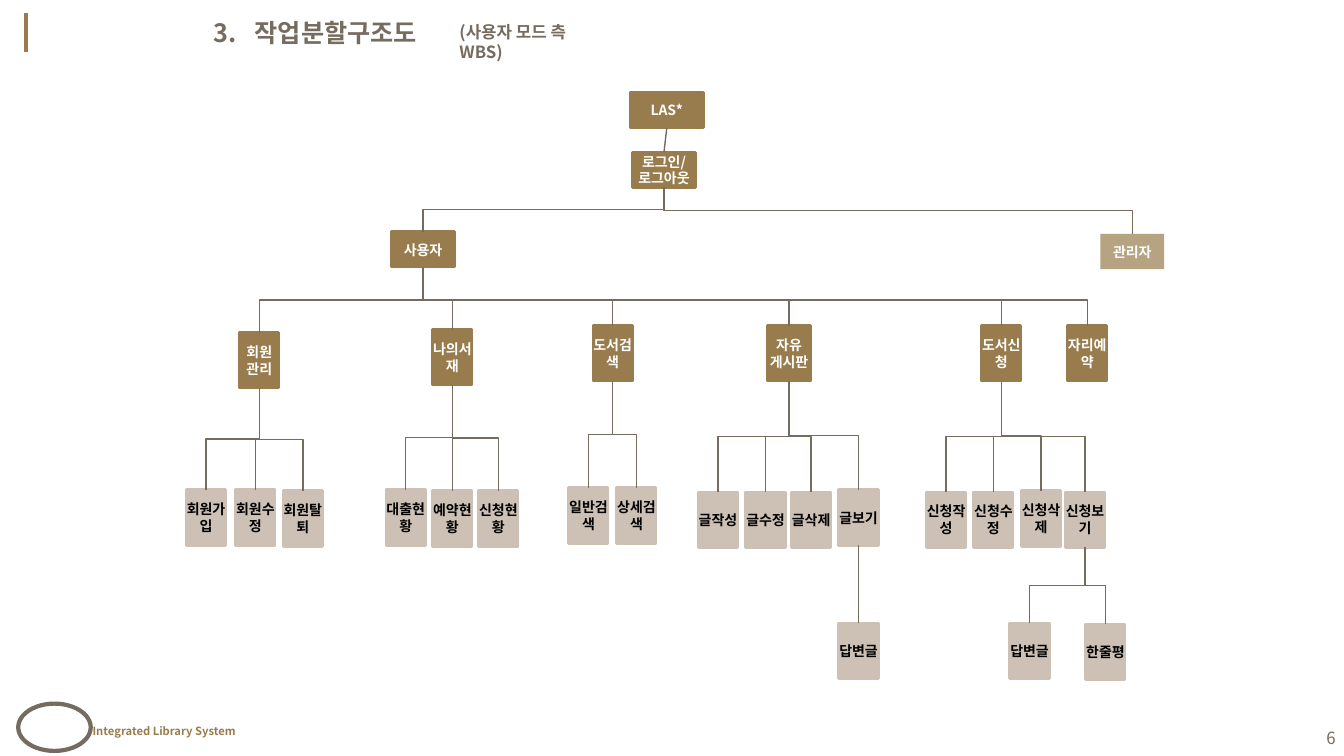
"""Builds the work breakdown structure slide for the user mode."""
from dataclasses import dataclass
from typing import Iterator, NamedTuple

from lxml.etree import SubElement
from pptx import Presentation
from pptx.dml.color import RGBColor
from pptx.enum.shapes import MSO_CONNECTOR as CONN, MSO_SHAPE as SHAPE
from pptx.enum.text import MSO_ANCHOR as ANCHOR, MSO_AUTO_SIZE as FIT, PP_ALIGN as ALIGN
from pptx.oxml.ns import qn
from pptx.shapes.connector import Connector
from pptx.slide import Slide
from pptx.text.text import TextFrame
from pptx.util import Pt

FONT = "Noto Sans CJK KR"
COLORS = {"gold": "987C4D", "taupe": "756B5F", "sand": "CDC1B6",
          "white": "FFFFFF", "black": "000000"}
BUS_Y = 214.6


class Run(NamedTuple):
    text: str
    size: float
    color: str = "taupe"
    bold: bool = True


class Style(NamedTuple):
    w: float
    h: float
    fill: str
    ink: str
    alpha: int = 100


@dataclass(frozen=True)
class Node:
    text: str
    cx: float
    y: float
    style: Style
    children: tuple["Node", ...] = ()
    link: str = "elbow"
    bend: float = 0.5

    @property
    def bottom(self) -> float:
        return self.y + self.style.h


ROOT = Style(52.6, 25.2, "gold", "white")
MODE = Style(45.4, 25.2, "gold", "white")
FADED = Style(45.4, 25.2, "gold", "white", 70)
GROUP = Style(28.1, 39.6, "gold", "white")
BOARD = Style(31, 39.6, "gold", "white")
TASK = Style(28.1, 39.6, "sand", "black")

MEMBER = Node("회원\n관리", 185.2, 237.6, GROUP, (
    Node("회원가입", 147.2, 349.9, TASK),
    Node("회원수정", 182.4, 349.9, TASK),
    Node("회원탈퇴", 216.3, 350.6, TASK)))
MY_SHELF = Node("나의서재", 323.1, 235.4, GROUP, (
    Node("대출현황", 289.8, 349.9, TASK),
    Node("예약현황", 323.1, 350.6, TASK, link="line"),
    Node("신청현황", 356, 350.6, TASK)), "stub")
SEARCH = Node("도서검색", 437.6, 232.6, GROUP, (
    Node("일반검색", 420.3, 348.5, TASK),
    Node("상세검색", 454.6, 348.5, TASK)), "stub")
FREE_BOARD = Node("자유\n게시판", 563.6, 232.6, BOARD, (
    Node("글작성", 512.8, 351.4, TASK),
    Node("글수정", 546.8, 351.4, TASK),
    Node("글삭제", 579.4, 351.4, TASK),
    Node("글보기", 613.2, 349.9, TASK, (
        Node("답변글", 613.2, 445, TASK, link="line"),))), "stub")
REQUEST = Node("도서신청", 715.2, 232.6, GROUP, (
    Node("신청작성", 675.8, 351.4, TASK),
    Node("신청수정", 709.6, 351.4, TASK),
    Node("신청삭제", 743.6, 350.6, TASK),
    Node("신청보기", 775, 351.4, TASK, (
        Node("답변글", 735.4, 445, TASK),
        Node("한줄평", 789.6, 445.7, TASK)))), "stub")
SEAT = Node("자리예약", 776.6, 232.6, GROUP, bend=0.56)
USER = Node("사용자", 302.2, 165.6, MODE,
            (MEMBER, MY_SHELF, SEARCH, FREE_BOARD, REQUEST, SEAT))
ADMIN = Node("관리자", 808.8, 167, FADED)
LOGIN = Node("로그인/\n로그아웃", 474.3, 108.7, MODE, (USER, ADMIN), "line")
SYSTEM = Node("LAS*", 476.3, 66.2, ROOT, (LOGIN,))


def rgb(name: str) -> RGBColor:
    """Return the named colour."""
    return RGBColor.from_string(COLORS[name])


def write(tf: TextFrame, paragraphs: list[list[Run]], align: ALIGN = ALIGN.LEFT,
          anchor: ANCHOR = ANCHOR.TOP, inset: bool = True) -> None:
    """Fill a text frame run by run."""
    tf.word_wrap = True
    tf.auto_size = FIT.NONE
    tf.vertical_anchor = anchor
    tf.margin_left = tf.margin_right = Pt(7.2 if inset else 0)
    tf.margin_top = tf.margin_bottom = Pt(3.6 if inset else 0)
    for i, runs in enumerate(paragraphs):
        p = tf.add_paragraph() if i else tf.paragraphs[0]
        p.alignment = align
        for run in runs:
            r = p.add_run()
            r.text = run.text
            r.font.size, r.font.bold, r.font.name = Pt(run.size), run.bold, FONT
            r.font.color.rgb = rgb(run.color)
            SubElement(r.font._element, qn("a:ea"), typeface=FONT)


def add_text(s: Slide, x: float, y: float, w: float, h: float, runs: list[Run],
             align: ALIGN = ALIGN.LEFT, anchor: ANCHOR = ANCHOR.TOP) -> None:
    """Add a one-paragraph text box."""
    box = s.shapes.add_textbox(Pt(x), Pt(y), Pt(w), Pt(h))
    write(box.text_frame, [runs], align, anchor)


def add_line(s: Slide, kind: CONN, x1: float, y1: float, x2: float, y2: float,
             color: str = "taupe", width: float = 1) -> Connector:
    """Add a connector without a shadow."""
    c = s.shapes.add_connector(kind, Pt(x1), Pt(y1), Pt(x2), Pt(y2))
    c.line.color.rgb, c.line.width = rgb(color), Pt(width)
    SubElement(c._element.spPr, qn("a:effectLst"))
    return c


def add_elbow(s: Slide, parent: Node, child: Node) -> None:
    """Add an elbow that leaves the parent downwards, turned by a quarter."""
    rise, run = child.y - parent.bottom, child.cx - parent.cx
    cx, cy = (parent.cx + child.cx) / 2, (parent.bottom + child.y) / 2
    half_w = rise / 2 if run > 0 else -rise / 2
    half_h = abs(run) / 2
    c = add_line(s, CONN.ELBOW, cx + half_w, cy - half_h, cx - half_w, cy + half_h)
    pr = c._element.spPr
    pr.find(qn("a:xfrm")).set("rot", "16200000" if run > 0 else "5400000")
    guides = pr.find(qn("a:prstGeom")).find(qn("a:avLst"))
    SubElement(guides, qn("a:gd"), name="adj1", fmla=f"val {round(child.bend * 100000)}")


def add_node(s: Slide, node: Node) -> None:
    """Add the box of a node."""
    st = node.style
    sp = s.shapes.add_shape(SHAPE.RECTANGLE, Pt(node.cx - st.w / 2), Pt(node.y),
                            Pt(st.w), Pt(st.h))
    sp.shadow.inherit = False
    sp.fill.solid()
    sp.fill.fore_color.rgb = rgb(st.fill)
    if st.alpha < 100:
        color = sp._element.spPr.find(qn("a:solidFill"))[0]
        SubElement(color, qn("a:alpha"), val=str(st.alpha * 1000))
        sp.line.fill.background()
    else:
        sp.line.color.rgb, sp.line.width = rgb(st.fill), Pt(2)
    lines = [[Run(line, 10, st.ink)] for line in node.text.split("\n")]
    write(sp.text_frame, lines, ALIGN.CENTER, ANCHOR.MIDDLE, inset=False)


def walk(node: Node) -> Iterator[Node]:
    """Yield a node and all nodes below it."""
    yield node
    for child in node.children:
        yield from walk(child)


def add_links(s: Slide, parent: Node) -> None:
    """Join a node to its children."""
    for child in parent.children:
        if child.link == "elbow":
            add_elbow(s, parent, child)
        elif child.link == "stub":
            add_line(s, CONN.STRAIGHT, child.cx, child.y, child.cx, BUS_Y)
        else:
            add_line(s, CONN.STRAIGHT, parent.cx, parent.bottom, child.cx, child.y)


def add_frame(s: Slide) -> None:
    """Add the accent bar, footer, page number and headings."""
    add_line(s, CONN.STRAIGHT, 18.7, 9.4, 18.7, 37.4, "gold", 3)
    add_text(s, 59, 514.1, 135, 17.3, [Run("Integrated Library System", 8, "gold")])
    oval = s.shapes.add_shape(SHAPE.OVAL, Pt(13), Pt(502.6), Pt(51.8), Pt(33.8))
    oval.shadow.inherit = False
    oval.fill.background()
    oval.line.color.rgb, oval.line.width = rgb("taupe"), Pt(3)
    add_text(s, 737.3, 512.6, 223.9, 28.8, [Run("6", 12, bold=False)],
             ALIGN.RIGHT, ANCHOR.MIDDLE)
    title = s.shapes.title
    title.left, title.top, title.width, title.height = Pt(145.4), Pt(8.6), Pt(231), Pt(28.8)
    write(title.text_frame, [[Run("3.\t작업분할구조도", 18)]])
    indent = title.text_frame.paragraphs[0]._p.get_or_add_pPr()
    indent.set("marL", str(Pt(29.3)))
    indent.set("indent", str(-Pt(29.3)))
    add_text(s, 321.1, 12.2, 119, 21.6, [Run("(사용자 모드 측 WBS)", 12)])


def main() -> None:
    """Build and save the slide."""
    prs = Presentation()
    prs.slide_width, prs.slide_height = Pt(960), Pt(540)
    s = prs.slides.add_slide(prs.slide_layouts[5])
    add_frame(s)
    for node in walk(SYSTEM):
        add_node(s, node)
    for node in walk(SYSTEM):
        add_links(s, node)
    prs.save("out.pptx")


if __name__ == "__main__":
    main()
